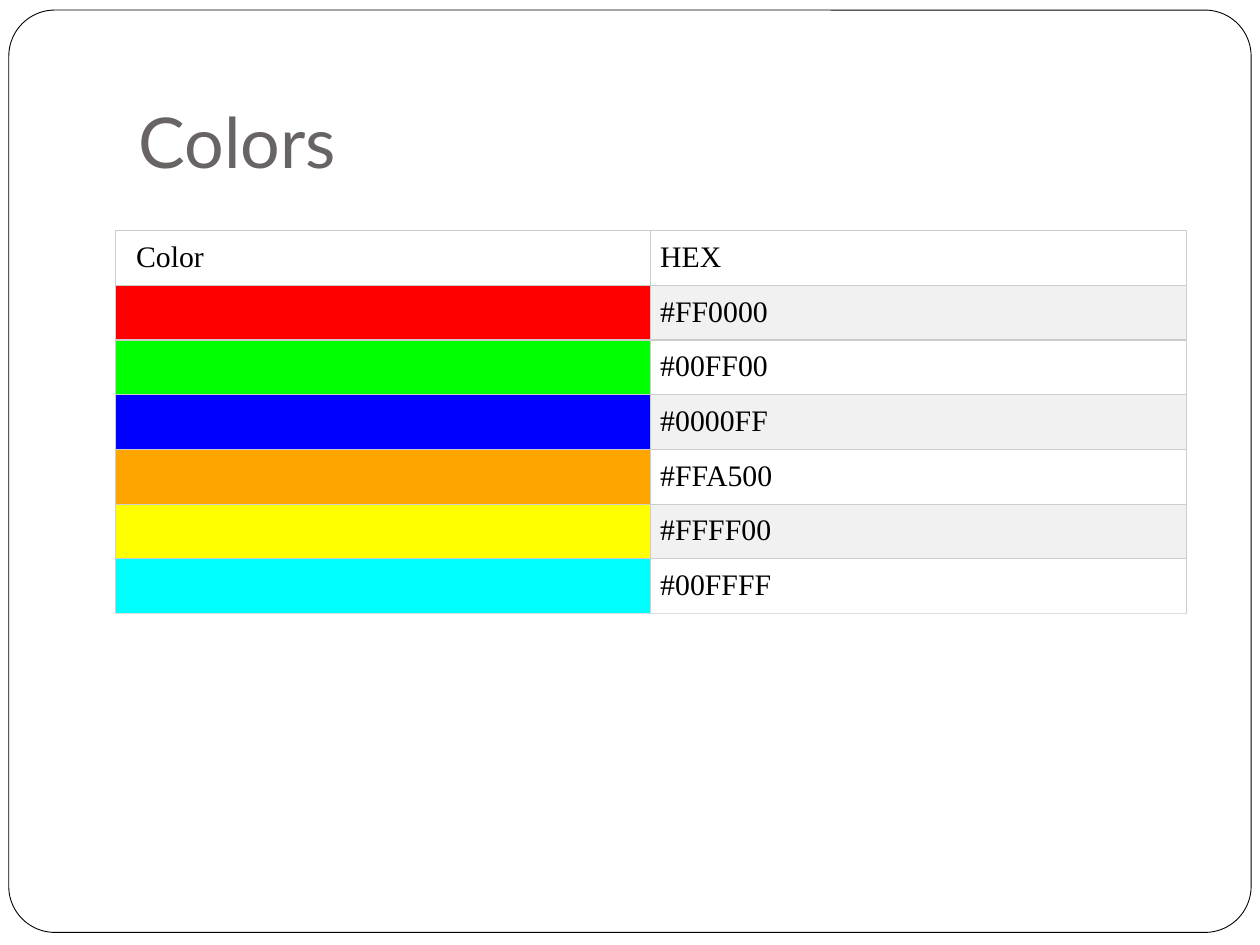
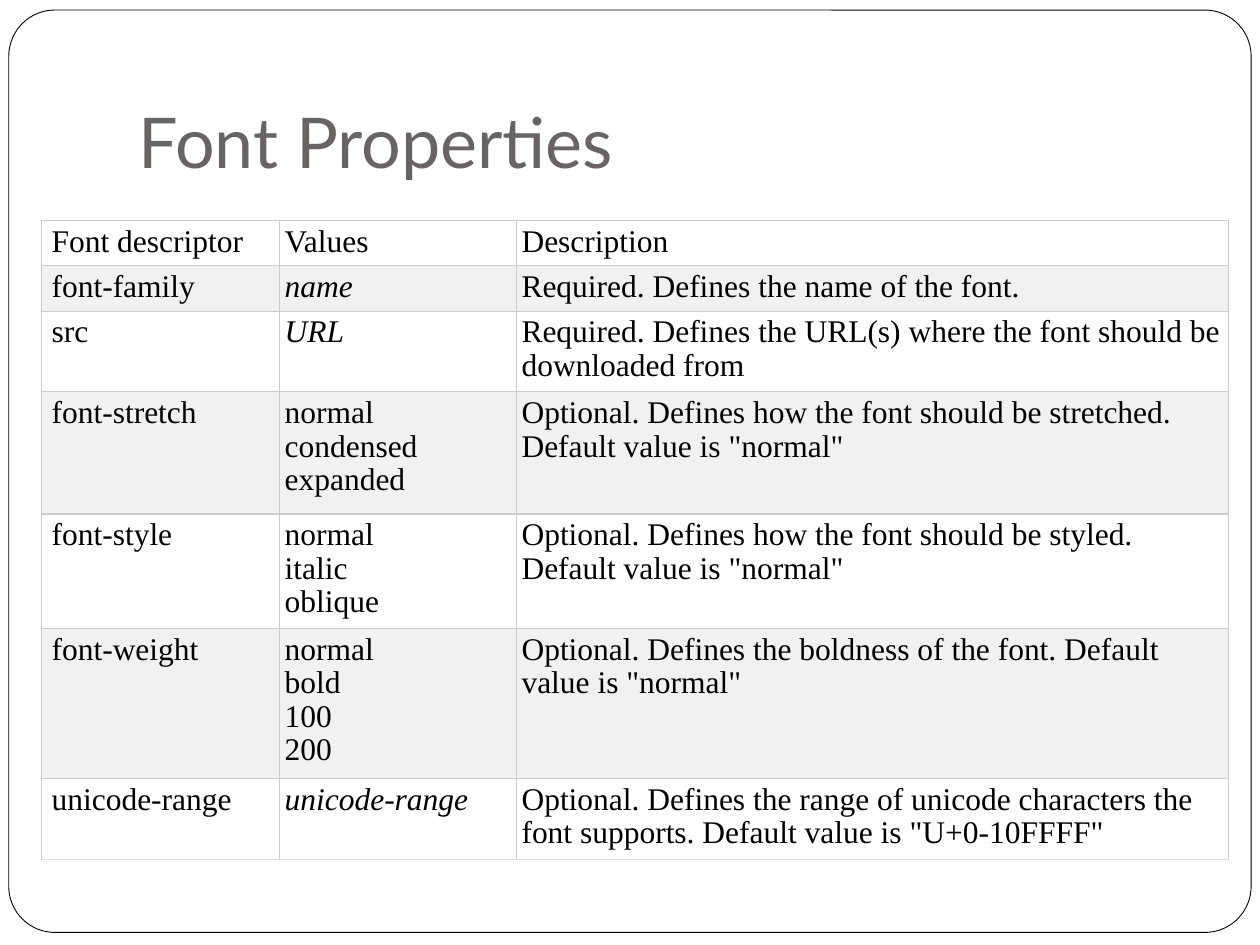
from dataclasses import dataclass

from lxml.etree import SubElement
from pptx import Presentation
from pptx.dml.color import RGBColor
from pptx.enum.shapes import MSO_SHAPE as Shape
from pptx.enum.text import MSO_ANCHOR as Anchor, PP_ALIGN as Align
from pptx.oxml.ns import qn
from pptx.util import Inches, Pt


@dataclass(frozen=True)
class Theme:
    paper: str = "FFFFFF"
    band: str = "F1F1F1"
    ink: str = "000000"
    title: str = "696464"
    rule: str = "CCCCCC"
    last_rule: str = "DDDDDD"
    title_font: str = "Lato"
    table_font: str = "Times New Roman"
    title_size: float = 40
    swatch_size: float = 17
    property_size: float = 18
    rule_width: float = 0.75
    frame_width: float = 0.5


THEME = Theme()

SWATCHES = ["FF0000", "00FF00", "0000FF", "FFA500", "FFFF00", "00FFFF"]

# A line break inside a cell is written as \v
PROPERTIES = [
    ("Font descriptor", "Values", "Description"),
    ("font-family", "name", "Required. Defines the name of the font."),
    ("src", "URL", "Required. Defines the URL(s) where the font should be downloaded from"),
    ("font-stretch", "normal\vcondensed\vexpanded",
     'Optional. Defines how the font should be stretched. Default value is "normal"'),
    ("font-style", "normal\vitalic\voblique",
     'Optional. Defines how the font should be styled. Default value is "normal"'),
    ("font-weight", "normal\vbold\v100\v200",
     'Optional. Defines the boldness of the font. Default value is "normal"'),
    ("unicode-range", "unicode-range",
     "Optional. Defines the range of unicode characters the font supports. "
     'Default value is "U+0-10FFFF"'),
]
ITALIC_VALUES = {"name", "URL", "unicode-range"}


def rgb(code):
    return RGBColor.from_string(code)


def style_font(font, name, size, color):
    font.name, font.size = name, Pt(size)
    font.color.rgb = rgb(color)


def place(shape, box):
    shape.left, shape.top, shape.width, shape.height = map(Inches, box)


def set_insets(target, insets):
    (target.margin_left, target.margin_top,
     target.margin_right, target.margin_bottom) = map(Inches, insets)


# Shared layout: rounded frame and title position
def prepare_layout(layout, page):
    left, top, width, height = map(Inches, (0.07, 0.08, 9.86, 7.32))
    frame = page.shapes.add_shape(Shape.ROUNDED_RECTANGLE, left, top, width, height)
    frame.adjustments[0] = 0.05
    frame.shadow.inherit = False
    frame.fill.solid()
    frame.fill.fore_color.rgb = rgb(THEME.paper)
    frame.line.color.rgb = rgb(THEME.ink)
    frame.line.width = Pt(THEME.frame_width)
    layout.shapes.element.insert(2, frame.element)  # behind the placeholders
    place(layout.placeholders[0], (1, 0.3, 8.5, 1.25))


def write_title(page, text):
    frame = page.shapes.title.text_frame
    frame.text = text
    frame.vertical_anchor = Anchor.BOTTOM
    set_insets(frame, (0.1, 0.05, 0.1, 0.1))
    para = frame.paragraphs[0]
    para.alignment = Align.LEFT
    style_font(para.font, THEME.title_font, THEME.title_size, THEME.title)


def set_borders(cell, is_last):
    properties = cell._tc.get_or_add_tcPr()
    for index, side in enumerate(("lnL", "lnR", "lnT", "lnB")):
        color = THEME.last_rule if is_last and side == "lnB" else THEME.rule
        line = SubElement(properties, qn(f"a:{side}"), w=str(Pt(THEME.rule_width)))
        fill = SubElement(line, qn("a:solidFill"))
        SubElement(fill, qn("a:srgbClr"), val=color)
        properties.insert(index, line)  # borders come before the fill


def write_cell(cell, text, size, insets):
    cell.text_frame.text = text
    set_insets(cell, insets)
    para = cell.text_frame.paragraphs[0]
    style_font(para.font, THEME.table_font, size, THEME.ink)
    return para


# Banded grid with thin rules on all sides
def add_grid(page, box, widths, heights):
    grid = page.shapes.add_table(len(heights), len(widths), *map(Inches, box)).table
    grid.first_row = grid.horz_banding = False
    for column, width in zip(grid.columns, widths):
        column.width = Inches(width)
    for index, (row, height) in enumerate(zip(grid.rows, heights)):
        row.height = Inches(height)
        for cell in row.cells:
            cell.fill.solid()
            cell.fill.fore_color.rgb = rgb(THEME.band if index % 2 else THEME.paper)
            set_borders(cell, index == len(heights) - 1)
    return grid


def add_color_table(page, box):
    count = len(SWATCHES) + 1
    grid = add_grid(page, box, (4.24, 4.26), [box[3] / count] * count)
    inset, size = 0.08, THEME.swatch_size
    write_cell(grid.cell(0, 0), "Color", size, (2 * inset, inset, inset, inset))
    for index, text in enumerate(["HEX"] + [f"#{code}" for code in SWATCHES]):
        write_cell(grid.cell(index, 1), text, size, [inset] * 4)
    for index, code in enumerate(SWATCHES, start=1):
        grid.cell(index, 0).fill.fore_color.rgb = rgb(code)


def add_property_table(page, box):
    heights = (0.36, 0.36, 0.64, 0.97, 0.91, 1.19, 0.64)
    grid = add_grid(page, box, (1.89, 1.88, 5.65), heights)
    inset = 0.04
    for row, texts in zip(grid.rows, PROPERTIES):
        for column, (cell, text) in enumerate(zip(row.cells, texts)):
            left = inset if column else 2 * inset
            para = write_cell(cell, text, THEME.property_size, (left, inset, inset, inset))
            para.line_spacing = 0.96
            if column == 1 and text in ITALIC_VALUES:
                para.font.italic = True


def main():
    deck = Presentation()
    deck.slide_width, deck.slide_height = Inches(10), Inches(7.5)
    layout = deck.slide_layouts[5]

    colors = deck.slides.add_slide(layout)
    prepare_layout(layout, colors)
    write_title(colors, "Colors")
    add_color_table(colors, (0.92, 1.83, 8.5, 3.04))

    fonts = deck.slides.add_slide(layout)
    write_title(fonts, "Font Properties")
    add_property_table(fonts, (0.33, 1.75, 9.42, 5.07))

    deck.save("out.pptx")


if __name__ == "__main__":
    main()
